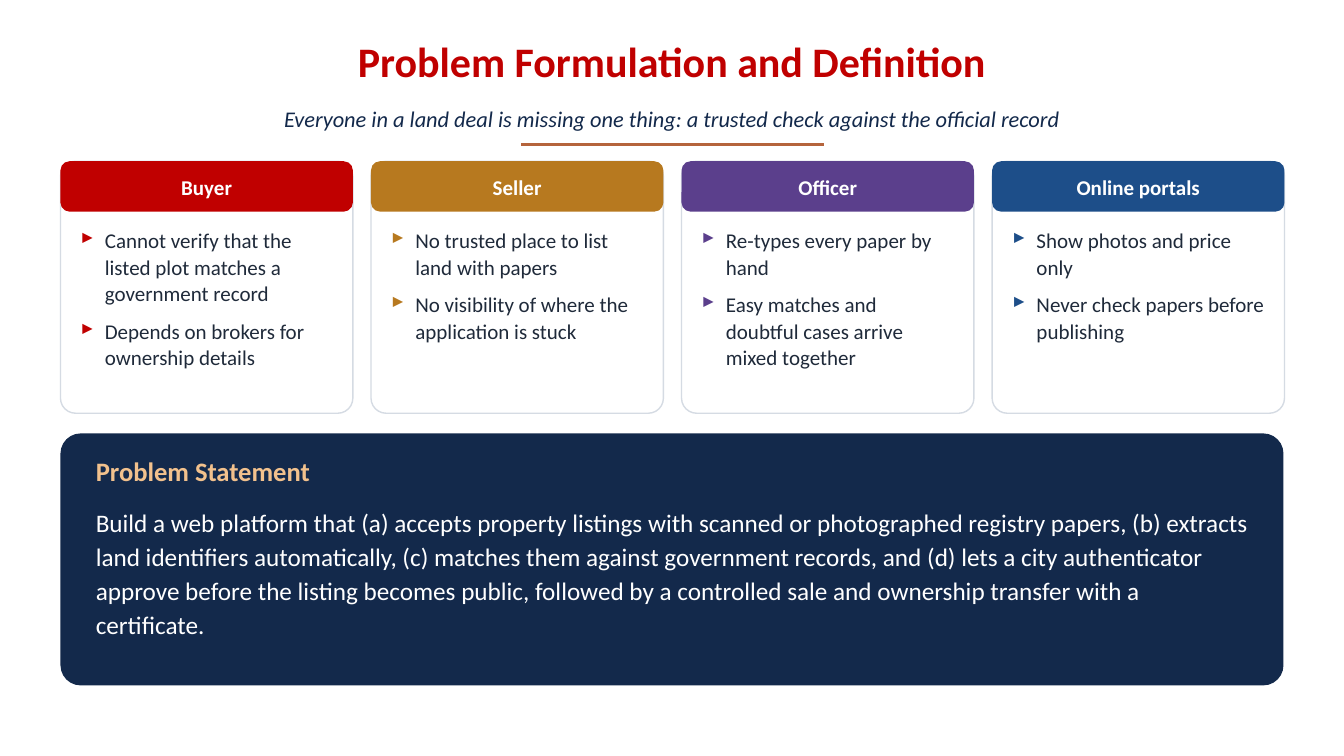
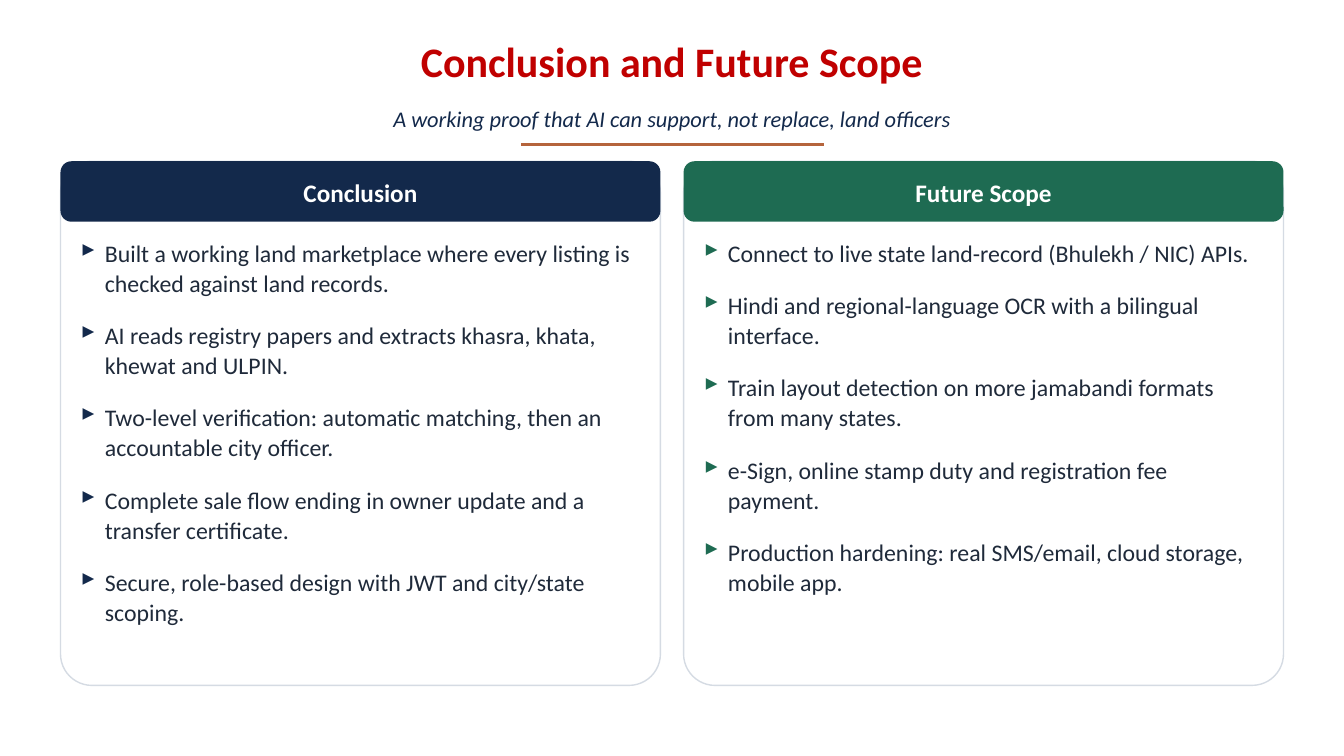
from lxml import etree
from pptx import Presentation
from pptx import util as u
from pptx.dml.color import RGBColor
from pptx.enum import shapes, text
from pptx.oxml import ns

# Colours and shared measures
RED = RGBColor(0xC0, 0x00, 0x00)
GOLD = RGBColor(0xB7, 0x79, 0x1F)
PLUM = RGBColor(0x5B, 0x3F, 0x8C)
BLUE = RGBColor(0x1D, 0x4E, 0x89)
NAVY = RGBColor(0x13, 0x29, 0x4B)
GREEN = RGBColor(0x1E, 0x6B, 0x52)
RUST = RGBColor(0xB5, 0x64, 0x3C)
PEACH = RGBColor(0xF2, 0xC1, 0x8D)
INK = RGBColor(0x1F, 0x2A, 0x3A)
EDGE = RGBColor(0xD5, 0xDB, 0xE3)
WHITE = RGBColor(0xFF, 0xFF, 0xFF)
FONT = "Calibri"
WIDE, HIGH = 1333, 750
LEFT, TOP, SPAN = 60, 160, 1213
INDENT = 24

# Content
PROBLEM = {
    "title": "Problem Formulation and Definition",
    "sub": "Everyone in a land deal is missing one thing: a trusted check against the official record",
    "cards": [
        ("Buyer", RED, [
            "Cannot verify that the listed plot matches a government record",
            "Depends on brokers for ownership details"]),
        ("Seller", GOLD, [
            "No trusted place to list land with papers",
            "No visibility of where the application is stuck"]),
        ("Officer", PLUM, [
            "Re-types every paper by hand",
            "Easy matches and doubtful cases arrive mixed together"]),
        ("Online portals", BLUE, [
            "Show photos and price only",
            "Never check papers before publishing"]),
    ],
    "look": {"width": 290, "gap": 18, "height": 250, "band": 50,
             "head": 15, "body": 15, "after": 8},
}
NEED = ("Problem Statement",
        "Build a web platform that (a) accepts property listings with scanned or "
        "photographed registry papers, (b) extracts land identifiers automatically, "
        "(c) matches them against government records, and (d) lets a city authenticator "
        "approve before the listing becomes public, followed by a controlled sale and "
        "ownership transfer with a certificate.")
CLOSE = {
    "title": "Conclusion and Future Scope",
    "sub": "A working proof that AI can support, not replace, land officers",
    "cards": [
        ("Conclusion", NAVY, [
            "Built a working land marketplace where every listing is checked against land records.",
            "AI reads registry papers and extracts khasra, khata, khewat and ULPIN.",
            "Two-level verification: automatic matching, then an accountable city officer.",
            "Complete sale flow ending in owner update and a transfer certificate.",
            "Secure, role-based design with JWT and city/state scoping."]),
        ("Future Scope", GREEN, [
            "Connect to live state land-record (Bhulekh / NIC) APIs.",
            "Hindi and regional-language OCR with a bilingual interface.",
            "Train layout detection on more jamabandi formats from many states.",
            "e-Sign, online stamp duty and registration fee payment.",
            "Production hardening: real SMS/email, cloud storage, mobile app."]),
    ],
    "look": {"width": 595, "gap": 23, "height": 520, "band": 60,
             "head": 18, "body": 17, "after": 16},
}


def px(n):
    return u.Emu(n * 9144)


def box(*at):
    return [px(n) for n in at]


def bullet(para, color):
    props = para._p.get_or_add_pPr()
    props.set("marL", str(px(INDENT)))
    props.set("indent", str(px(-INDENT)))
    tint = etree.SubElement(props, ns.qn("a:buClr"))
    etree.SubElement(tint, ns.qn("a:srgbClr"), val=str(color))
    etree.SubElement(props, ns.qn("a:buChar"), char="▸")


def write(frame, lines, size, color, bold=False, italic=False, center=False,
          middle=False, inset=None, space=1.05, after=6, mark=None):
    """Fill a text frame with one paragraph per line."""
    frame.word_wrap = True
    frame.vertical_anchor = text.MSO_ANCHOR.MIDDLE if middle else text.MSO_ANCHOR.TOP
    if inset is not None:
        frame.margin_left = frame.margin_right = px(inset)
        frame.margin_top = frame.margin_bottom = px(inset)
    for i, line in enumerate(lines):
        para = frame.add_paragraph() if i else frame.paragraphs[0]
        if mark is not None:
            bullet(para, mark)
        para.alignment = text.PP_ALIGN.CENTER if center else text.PP_ALIGN.LEFT
        para.line_spacing = space
        para.space_before = u.Pt(0)
        para.space_after = u.Pt(after)
        run = para.add_run()
        run.text = line
        font = run.font
        font.name, font.size = FONT, u.Pt(size)
        font.bold, font.italic = bold, italic
        font.color.rgb = color


def label(slide, at, lines, size, color, **style):
    frame = slide.shapes.add_textbox(*box(*at)).text_frame
    write(frame, lines, size, color, inset=5, **style)
    frame.auto_size = text.MSO_AUTO_SIZE.SHAPE_TO_FIT_TEXT


def panel(slide, at, fill, bend, edge=None):
    shape = slide.shapes.add_shape(shapes.MSO_SHAPE.ROUNDED_RECTANGLE, *box(*at))
    shape.shadow.inherit = False
    shape.adjustments[0] = bend
    shape.fill.solid()
    shape.fill.fore_color.rgb = fill
    if edge is None:
        shape.line.fill.background()
    else:
        shape.line.color.rgb = edge
        shape.line.width = u.Pt(1)
    return shape


def header(slide, title, sub):
    # Title, subtitle and rule
    shape = slide.shapes.title
    shape.left, shape.top, shape.width, shape.height = box(50, 22, 1233, 82)
    write(shape.text_frame, [title], 30, RED, bold=True, center=True,
          middle=True, space=0.9, after=0)
    shape.text_frame.auto_size = text.MSO_AUTO_SIZE.NONE
    label(slide, (LEFT, 98, SPAN, 42), [sub], 16, NAVY, italic=True, center=True)
    rule = slide.shapes.add_connector(shapes.MSO_CONNECTOR.STRAIGHT,
                                      *box(517, 143, 817, 143))
    rule.line.color.rgb = RUST
    rule.line.width = u.Pt(2.25)
    etree.SubElement(rule._element.spPr, ns.qn("a:effectLst"))


def card(slide, left, name, color, items, look):
    # White card, coloured band, bulleted list
    wide, high, band = look["width"], look["height"], look["band"]
    panel(slide, (left, TOP, wide, high), WHITE, 0.06, EDGE)
    head = panel(slide, (left, TOP, wide, band), color, 0.18)
    write(head.text_frame, [name], look["head"], WHITE, bold=True, center=True,
          middle=True, inset=8, after=2)
    label(slide, (left + 15, TOP + band + 10, wide - 30, high - band - 18), items,
          look["body"], INK, after=look["after"], mark=color)


def build(deck, page):
    slide = deck.slides.add_slide(deck.slide_layouts[5])
    header(slide, page["title"], page["sub"])
    look = page["look"]
    for i, (name, color, items) in enumerate(page["cards"]):
        card(slide, LEFT + i * (look["width"] + look["gap"]), name, color, items, look)
    return slide


def main():
    deck = Presentation()
    deck.slide_width, deck.slide_height = box(WIDE, HIGH)

    # Problem slide with its statement panel
    slide = build(deck, PROBLEM)
    panel(slide, (LEFT, 430, SPAN, 250), NAVY, 0.08)
    label(slide, (90, 445, 1155, 45), NEED[:1], 19, PEACH, bold=True)
    label(slide, (90, 495, 1155, 180), NEED[1:], 18, WHITE, space=1.12)

    # Closing slide
    build(deck, CLOSE)
    deck.save("out.pptx")


if __name__ == "__main__":
    main()
